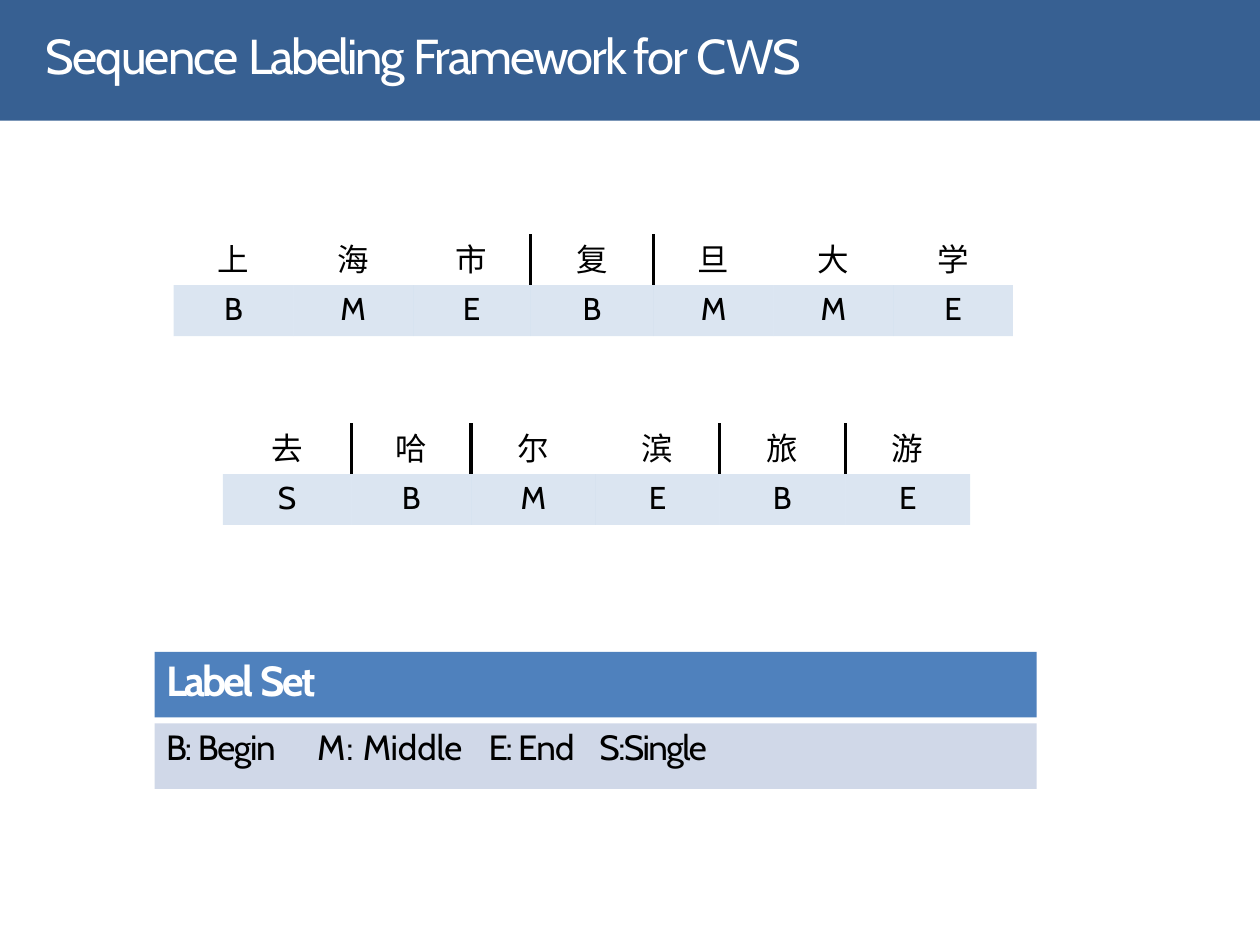
from lxml import etree
from pptx import Presentation
from pptx.dml.color import RGBColor
from pptx.enum.shapes import MSO_SHAPE
from pptx.enum.text import MSO_ANCHOR, MSO_AUTO_SIZE, PP_ALIGN
from pptx.oxml.ns import qn
from pptx.util import Pt

RECT = MSO_SHAPE.RECTANGLE
TOP = MSO_ANCHOR.TOP
FIXED = MSO_AUTO_SIZE.NONE
LEFT, MID = PP_ALIGN.LEFT, PP_ALIGN.CENTER

WHITE = RGBColor(0xFF, 0xFF, 0xFF)
BLACK = RGBColor(0, 0, 0)
NAVY = RGBColor(0x37, 0x60, 0x92)
BLUE = RGBColor(0x4F, 0x81, 0xBD)
PALE = RGBColor(0xD0, 0xD8, 0xE8)
LATIN, HAN = "Cabin", "Open Sans"
PLAIN = "{2D5ABB26-0587-4C30-8999-92F81FD0307C}"

TITLE = [("Sequence ", -1), ("Labeling ", -1.4),
         ("Framework for ", -1.2), ("CWS", -0.5)]
GRIDS = [
    dict(chars="上海市复旦大学", tags="BMEBMME", bars=(2, 3),
         left=99.2, top=133.9, cols=(68.4, 68.4, 67, 70.6, 68.4, 68.4, 68.4)),
    dict(chars="去哈尔滨旅游", tags="SBMEBE", bars=(0, 1, 3, 4),
         left=127.4, top=241.8, cols=(73.4, 68.4, 71.3, 70.6, 72, 71.3)),
]
LABELS = [
    dict(runs=[("Label ", -1.6), ("Set", -1.4)],
         fill=BLUE, size=24, color=WHITE, bold=True),
    dict(runs=[("B: ", -1.2), ("Begin\t", -0.8), ("M: ", 0.4),
               ("Middle\t", -0.1), ("E: ", -1.4), ("End\t", -0.5),
               ("S:Single", -0.9)],
         fill=PALE, size=20, color=BLACK, tabs=(86.4, 184.3, 247.7)),
]
ROW = 29.1
BOX_LEFT, BOX_TOP, BOX_W, BOX_H, BOX_STEP = 88.4, 372.5, 504, 37.5, 40.8


def write(frame, runs, size=18, font=LATIN, color=BLACK, bold=False,
          align=LEFT, before=0, tabs=()):
    para = frame.paragraphs[0]
    para.alignment = align
    para.space_before = Pt(before)
    if tabs:
        stops = etree.SubElement(para._p.get_or_add_pPr(), qn("a:tabLst"))
        for stop in tabs:
            etree.SubElement(stops, qn("a:tab"), pos=str(Pt(stop)), algn="l")
    for text, gap in runs:
        run = para.add_run()
        run.text = text
        run.font.size = Pt(size)
        run.font.name = font
        run.font.bold = bold
        run.font.color.rgb = color
        props = run._r.get_or_add_rPr()
        etree.SubElement(props, qn("a:ea"), typeface=font)
        if gap:
            props.set("spc", str(round(gap * 100)))


def fit(frame, left=0, top=0):
    frame.auto_size = FIXED
    frame.word_wrap = True
    frame.vertical_anchor = TOP
    frame.margin_left, frame.margin_top = Pt(left), Pt(top)
    frame.margin_right = frame.margin_bottom = 0


def block(slide, left, top, width, height, fill):
    shape = slide.shapes.add_shape(RECT, Pt(left), Pt(top), Pt(width), Pt(height))
    shape.shadow.inherit = False
    shape.fill.solid()
    shape.fill.fore_color.rgb = fill
    shape.line.fill.background()
    return shape


def add_bar(cell):
    line = etree.Element(qn("a:lnR"), w=str(Pt(2.25)))
    fill = etree.SubElement(line, qn("a:solidFill"))
    etree.SubElement(fill, qn("a:srgbClr"), val=str(BLACK))
    cell._tc.get_or_add_tcPr().insert(0, line)


def tint(cell):
    cell.fill.solid()
    cell.fill.fore_color.rgb = BLUE
    color = cell._tc.tcPr.find(".//" + qn("a:srgbClr"))
    etree.SubElement(color, qn("a:alpha"), val="20000")


def add_grid(slide, chars, tags, bars, left, top, cols):
    frame = slide.shapes.add_table(2, len(cols), Pt(left), Pt(top),
                                   Pt(sum(cols)), Pt(2 * ROW))
    table = frame.table
    table.first_row = table.horz_banding = False
    next(frame.element.iter(qn("a:tableStyleId"))).text = PLAIN
    for col, width in zip(table.columns, cols):
        col.width = Pt(width)
    rows = [(chars, HAN, 2.2, 2.3), (tags, LATIN, 2.9, 2.6)]
    for r, (texts, font, inset, before) in enumerate(rows):
        table.rows[r].height = Pt(ROW)
        for c, text in enumerate(texts):
            cell = table.cell(r, c)
            cell.margin_left = cell.margin_right = cell.margin_bottom = 0
            cell.margin_top = Pt(inset)
            write(cell.text_frame, [(text, 0)], font=font,
                  align=MID, before=before)
            if r:
                tint(cell)
            else:
                cell.fill.background()
                if c in bars:
                    add_bar(cell)


def main():
    deck = Presentation()
    deck.slide_width, deck.slide_height = Pt(720), Pt(540)
    slide = deck.slides.add_slide(deck.slide_layouts[5])

    band = block(slide, 0, 0, 720, 69, NAVY)
    title = slide.shapes.title
    title.element.addprevious(band.element)
    title.left, title.top, title.width, title.height = map(Pt, (25.2, 13.7, 446, 35.3))
    fit(title.text_frame, left=0.7, top=0.7)
    write(title.text_frame, TITLE, size=28, color=WHITE, before=1)

    for grid in GRIDS:
        add_grid(slide, **grid)

    for i, label in enumerate(LABELS):
        form = dict(label)
        box = block(slide, BOX_LEFT, BOX_TOP + i * BOX_STEP, BOX_W, BOX_H,
                    form.pop("fill"))
        fit(box.text_frame, left=6.5, top=1.4)
        write(box.text_frame, before=1.1, **form)

    deck.save("out.pptx")


if __name__ == "__main__":
    main()
